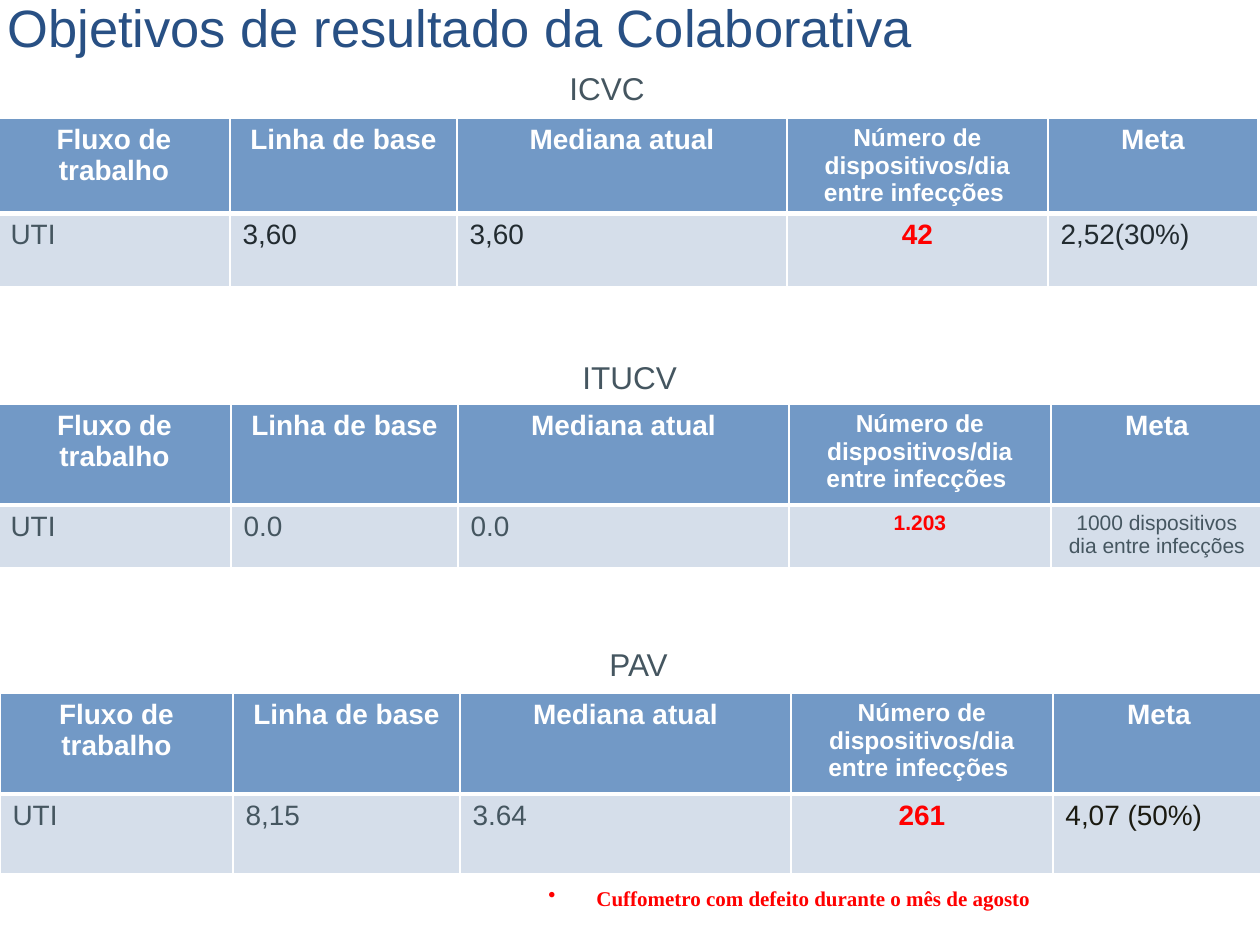
from dataclasses import dataclass

from lxml.etree import SubElement
from pptx import Presentation
from pptx.dml.color import RGBColor
from pptx.enum.text import MSO_ANCHOR, PP_ALIGN
from pptx.oxml.ns import qn
from pptx.util import Emu, Pt

PX_PER_INCH = 126


@dataclass(frozen=True)
class Theme:
    font: str = "Arial"
    note_font: str = "Times New Roman"
    title: str = "285084"
    text: str = "455660"
    dark: str = "222B30"
    black: str = "1A1A11"
    alert: str = "FF0000"
    white: str = "FFFFFF"
    header_fill: str = "7299C6"
    body_fill: str = "D5DEEA"
    title_size: int = 30
    heading_size: int = 18
    table_size: int = 16
    long_header_size: int = 14
    small_size: int = 12


THEME = Theme()


@dataclass(frozen=True)
class Entry:
    text: str
    color: str = THEME.text
    size: int = THEME.table_size
    bold: bool = False
    align: PP_ALIGN = PP_ALIGN.LEFT


def header(text, size=THEME.table_size):
    return Entry(text, THEME.white, size, True, PP_ALIGN.CENTER)


def device_days(text, size=THEME.table_size):
    return Entry(text, THEME.alert, size, True, PP_ALIGN.CENTER)


HEADERS = [
    header("Fluxo de trabalho"),
    header("Linha de base"),
    header("Mediana atual"),
    header("Número de dispositivos/dia entre infecções ", THEME.long_header_size),
    header("Meta"),
]
NARROW_COLUMNS = [232, 227, 330, 261, 210]
WIDE_COLUMNS = [233, 227, 331, 262, 212]

# heading, heading box, table corner, column widths, row heights, values
INDICATORS = [
    ("ICVC", (557, 63, 102, 50), (-2, 118), NARROW_COLUMNS, (95, 74),
     [Entry("UTI"), Entry("3,60", THEME.dark), Entry("3,60", THEME.dark),
      device_days("42"), Entry("2,52(30%)", THEME.dark)]),
    ("ITUCV", (570, 352, 121, 50), (-2, 404), WIDE_COLUMNS, (101, 63),
     [Entry("UTI"), Entry("0.0"), Entry("0.0"),
      device_days("1.203", THEME.small_size),
      Entry("1000 dispositivos dia entre infecções",
            size=THEME.small_size, align=PP_ALIGN.CENTER)]),
    ("PAV", (597, 639, 84, 50), (0, 693), WIDE_COLUMNS, (100, 80),
     [Entry("UTI"), Entry("8,15"), Entry("3.64"),
      device_days("261"), Entry("4,07 (50%)", THEME.black)]),
]


def px(length):
    return Emu(round(length * 914400 / PX_PER_INCH))


def write(frame, entry, font=THEME.font):
    frame.text = entry.text
    paragraph = frame.paragraphs[0]
    paragraph.alignment = entry.align
    paragraph.font.name = font
    paragraph.font.size = Pt(entry.size)
    paragraph.font.bold = entry.bold
    paragraph.font.color.rgb = RGBColor.from_string(entry.color)
    return paragraph


def add_title(slide, box, text):
    title = slide.shapes.title
    title.left, title.top, title.width, title.height = map(px, box)
    write(title.text_frame, Entry(text, THEME.title, THEME.title_size))
    title.text_frame.vertical_anchor = MSO_ANCHOR.MIDDLE


def add_text(slide, box, entry, font=THEME.font, wrap=False):
    frame = slide.shapes.add_textbox(*map(px, box)).text_frame
    frame.word_wrap = wrap
    paragraph = write(frame, entry, font)
    paragraph.space_before = Pt(5.8)
    return paragraph


def add_borders(cell, bottom):
    """Draw white cell edges, with the bottom width in points."""
    properties = cell._tc.get_or_add_tcPr()
    for side, width in (("L", 1), ("R", 1), ("T", 1), ("B", bottom)):
        line = SubElement(properties, qn(f"a:ln{side}"), w=str(Pt(width)))
        fill = SubElement(line, qn("a:solidFill"))
        SubElement(fill, qn("a:srgbClr"), val=THEME.white)


def add_indicator_table(slide, corner, columns, heights, values):
    box = (*corner, sum(columns), sum(heights))
    table = slide.shapes.add_table(2, len(columns), *map(px, box)).table
    for column, width in zip(table.columns, columns):
        column.width = px(width)
    rows = ((HEADERS, THEME.header_fill, 3), (values, THEME.body_fill, 1))
    for row, height, (entries, fill, bottom) in zip(table.rows, heights, rows):
        row.height = px(height)
        for cell, entry in zip(row.cells, entries):
            add_borders(cell, bottom)
            cell.fill.solid()
            cell.fill.fore_color.rgb = RGBColor.from_string(fill)
            write(cell.text_frame, entry)


def add_note(slide, box, text):
    entry = Entry(text, THEME.alert, THEME.small_size, True)
    paragraph = add_text(slide, box, entry, THEME.note_font, wrap=True)
    properties = paragraph._p.get_or_add_pPr()
    properties.set("marL", str(px(48)))
    properties.set("indent", str(px(-48)))
    bullet = SubElement(properties, qn("a:buChar"), char="•")
    properties.find(qn("a:defRPr")).addprevious(bullet)


def main():
    presentation = Presentation()
    presentation.slide_width, presentation.slide_height = px(1260), px(945)
    slide = presentation.slides.add_slide(presentation.slide_layouts[5])
    add_title(slide, (-5, -31, 1197, 116), "Objetivos de resultado da Colaborativa")
    for heading, heading_box, corner, columns, heights, values in INDICATORS:
        add_indicator_table(slide, corner, columns, heights, values)
        add_text(slide, heading_box, Entry(heading, size=THEME.heading_size))
    add_note(slide, (536, 879, 508, 38),
             "Cuffometro com defeito durante o mês de agosto")
    presentation.save("out.pptx")


if __name__ == "__main__":
    main()
